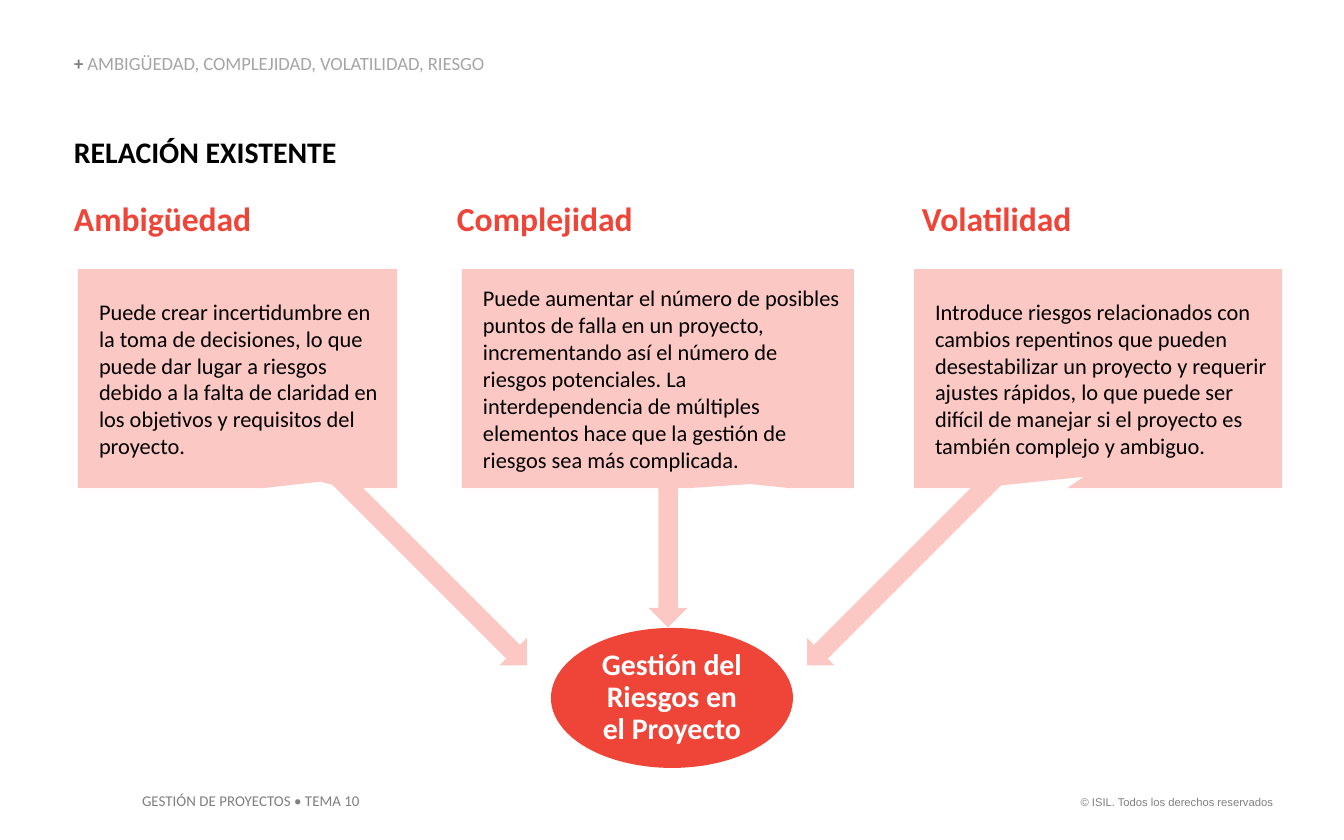
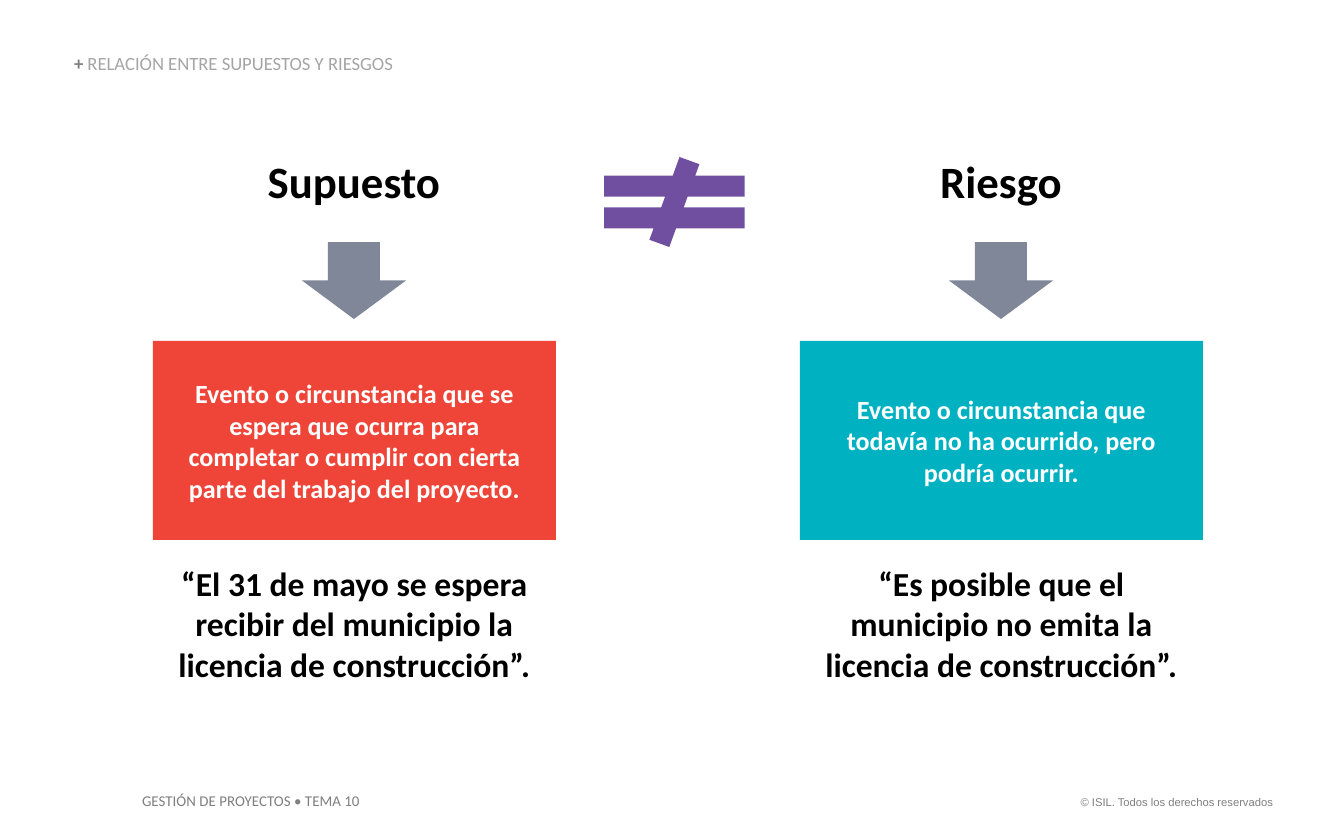
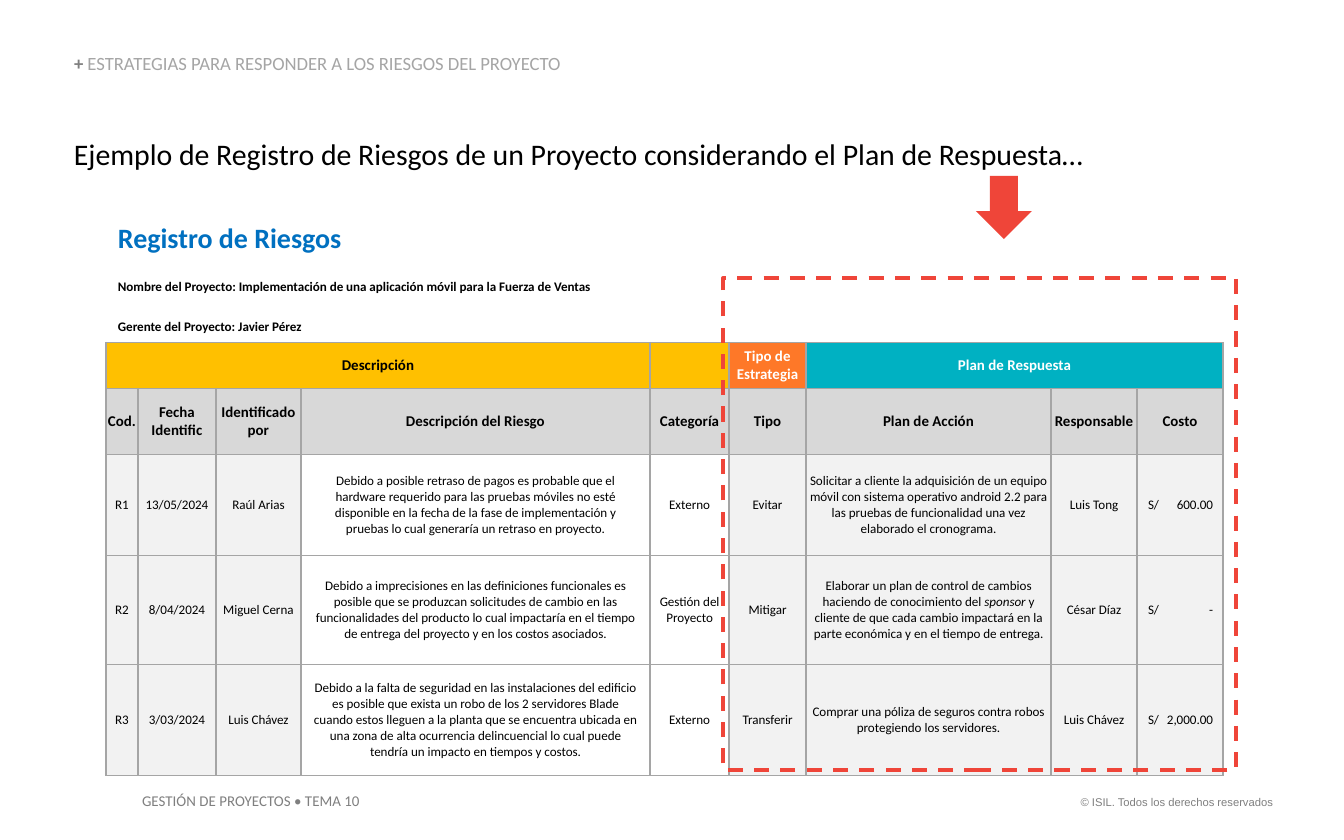
import dataclasses

import lxml.etree
import pptx
import pptx.dml.color
import pptx.enum.dml
import pptx.enum.shapes
import pptx.enum.text
import pptx.oxml
import pptx.oxml.ns
import pptx.util

SHAPES = pptx.enum.shapes.MSO_SHAPE
ALIGN = pptx.enum.text.PP_ALIGN
ANCHOR = pptx.enum.text.MSO_ANCHOR


@dataclasses.dataclass(frozen=True)
class Theme:
    font: str = "Calibri"
    copyright_font: str = "Arial"
    black: str = "000000"
    white: str = "FFFFFF"
    red: str = "EF4539"
    pink: str = "FCC8C4"
    cyan: str = "00B1C2"
    purple: str = "714FA0"
    slate: str = "808799"
    blue: str = "0070C0"
    gold: str = "FFC000"
    orange: str = "FE7828"
    dark_gray: str = "7F7F7F"
    mid_gray: str = "A5A5A5"
    header_gray: str = "D8D8D8"
    cell_gray: str = "F2F2F2"
    copyright_size: int = 6
    small: int = 7
    label: int = 8
    section: int = 10
    body: int = 12
    definition: int = 14
    register_title: int = 15
    heading: int = 16
    subheading: int = 18
    concept: int = 24


THEME = Theme()
SLIDE_SIZE = (1344, 840)
NO_INSET = (0, 0, 0, 0)
BOX_INSET = (13, 7, 13, 7)
CELL_INSET = (12, 7, 12, 7)

FOOTER = "GESTIÓN DE PROYECTOS • TEMA 10"
COPYRIGHT = "© ISIL. Todos los derechos reservados"

RELATION_SECTION = "AMBIGÜEDAD, COMPLEJIDAD, VOLATILIDAD, RIESGO"
RELATION_HEADING = "RELACIÓN EXISTENTE"
RELATION_CENTER = "Gestión del Riesgos en el Proyecto"
FACTORS = [
    {"name": "Ambigüedad", "name_left": 74, "left": 78, "width": 319,
     "tip": (0.26, 0.471), "arrow": (288, 547, 280, 39), "turn": 45,
     "text": "Puede crear incertidumbre en la toma de decisiones, lo que puede dar lugar a "
             "riesgos debido a la falta de claridad en los objetivos y requisitos del proyecto."},
    {"name": "Complejidad", "name_left": 457, "left": 462, "width": 392,
     "tip": (0.236, 0.482), "arrow": (598, 538, 140, 39), "turn": 90,
     "text": "Puede aumentar el número de posibles puntos de falla en un proyecto, incrementando "
             "así el número de riesgos potenciales. La interdependencia de múltiples elementos "
             "hace que la gestión de riesgos sea más complicada."},
    {"name": "Volatilidad", "name_left": 922, "left": 914, "width": 368,
     "tip": (-0.039, 0.449), "arrow": (766, 547, 280, 39), "turn": 135,
     "text": "Introduce riesgos relacionados con cambios repentinos que pueden desestabilizar un "
             "proyecto y requerir ajustes rápidos, lo que puede ser difícil de manejar si el "
             "proyecto es también complejo y ambiguo."},
]

CONTRAST_SECTION = "RELACIÓN ENTRE SUPUESTOS Y RIESGOS"
CONCEPTS = [
    ("Supuesto", THEME.red,
     "Evento o circunstancia que se espera que ocurra para completar o cumplir con cierta parte "
     "del trabajo del proyecto.",
     "“El 31 de mayo se espera recibir del municipio la licencia de construcción”."),
    ("Riesgo", THEME.cyan,
     "Evento o circunstancia que todavía no ha ocurrido, pero podría ocurrir.",
     "“Es posible que el municipio no emita la licencia de construcción”."),
]

REGISTER_SECTION = "ESTRATEGIAS PARA RESPONDER A LOS RIESGOS DEL PROYECTO"
REGISTER_HEADING = ("Ejemplo de Registro de Riesgos de un Proyecto considerando el "
                    "Plan de Respuesta…")
COLUMN_WIDTHS = (32, 78, 85, 320, 22, 79, 77, 245, 86, 86)
ROW_HEIGHTS = (46, 40, 40, 46, 66, 101, 109, 111)
FIELD_COLUMNS = (0, 1, 2, 3, 5, 6, 7, 8, 9)
DESCRIPTION_COLUMN = 3
COST_COLUMN = 9
REGISTER_INTRO = [
    ("Registro de Riesgos", 4, THEME.register_title, THEME.blue, ANCHOR.MIDDLE),
    ("Nombre del Proyecto: Implementación de una aplicación móvil para la Fuerza de Ventas",
     6, THEME.small, THEME.black, ANCHOR.BOTTOM),
    ("Gerente del Proyecto: Javier Pérez", 5, THEME.small, THEME.black, ANCHOR.BOTTOM),
]
REGISTER_BANDS = [
    (0, 5, "Descripción", THEME.gold, THEME.black),
    (5, 1, "", THEME.gold, THEME.black),
    (6, 1, "Tipo de Estrategia", THEME.orange, THEME.white),
    (7, 3, "Plan de Respuesta", THEME.cyan, THEME.white),
]
REGISTER_FIELDS = ("Cod.", "Fecha Identific", "Identificado por", "Descripción del Riesgo",
                   "Categoría", "Tipo", "Plan de Acción", "Responsable", "Costo")
RISKS = [
    ("R1", "13/05/2024", "Raúl Arias",
     "Debido a posible retraso de pagos es probable que el hardware requerido para las pruebas "
     "móviles no esté disponible en la fecha de la fase de implementación y pruebas lo cual "
     "generaría un retraso en proyecto.",
     "Externo", "Evitar",
     "Solicitar a cliente la adquisición de un equipo móvil con sistema operativo android 2.2 "
     "para las pruebas de funcionalidad una vez elaborado el cronograma.",
     "Luis Tong", "S/\t600.00"),
    ("R2", "8/04/2024", "Miguel Cerna",
     "Debido a imprecisiones en las definiciones funcionales es posible que se produzcan "
     "solicitudes de cambio en las funcionalidades del producto lo cual impactaría en el tiempo "
     "de entrega del proyecto y en los costos asociados.",
     "Gestión del Proyecto", "Mitigar",
     ("Elaborar un plan de control de cambios haciendo de conocimiento del ", "sponsor",
      " y cliente de que cada cambio impactará en la parte económica y en el tiempo de entrega."),
     "César Díaz", "S/\t-"),
    ("R3", "3/03/2024", "Luis Chávez",
     "Debido a la falta de seguridad en las instalaciones del edificio es posible que exista un "
     "robo de los 2 servidores Blade cuando estos lleguen a la planta que se encuentra ubicada "
     "en una zona de alta ocurrencia delincuencial lo cual puede tendría un impacto en tiempos "
     "y costos.",
     "Externo", "Transferir",
     "Comprar una póliza de seguros contra robos protegiendo los servidores.",
     "Luis Chávez", "S/\t2,000.00"),
]


def px(length):
    return round(length * 914400 / 134.4)


def rgb(color):
    return pptx.dml.color.RGBColor.from_string(color)


def set_inset(holder, inset, anchor):
    holder.margin_left, holder.margin_top, holder.margin_right, holder.margin_bottom = map(px, inset)
    holder.vertical_anchor = anchor


def write(text_frame, text, size, color, bold=False, align=ALIGN.LEFT, font=THEME.font,
          spacing=None):
    paragraph = text_frame.paragraphs[0]
    paragraph.alignment = align
    if spacing:
        paragraph.line_spacing = spacing
    pieces = (text,) if isinstance(text, str) else text
    for position, piece in enumerate(pieces):
        run = paragraph.add_run()
        run.text = piece
        if position % 2:
            run.font.italic = True
    paragraph.font.name = font
    paragraph.font.size = pptx.util.Pt(size)
    paragraph.font.bold = bold
    paragraph.font.color.rgb = rgb(color)


def add_text(slide, box, text, size, color, inset=NO_INSET, **style):
    text_frame = slide.shapes.add_textbox(*map(px, box)).text_frame
    text_frame.word_wrap = True
    set_inset(text_frame, inset, ANCHOR.TOP)
    write(text_frame, text, size, color, **style)


def add_filled(slide, kind, box, color, adjustments=(), turn=0):
    shape = slide.shapes.add_shape(kind, *map(px, box))
    shape.shadow.inherit = False
    shape.fill.solid()
    shape.fill.fore_color.rgb = rgb(color)
    shape.line.fill.background()
    shape.rotation = turn
    for index, value in enumerate(adjustments):
        shape.adjustments[index] = value
    return shape


def add_filled_text(shape, text, size, color, inset=BOX_INSET, **style):
    shape.text_frame.word_wrap = True
    set_inset(shape.text_frame, inset, ANCHOR.MIDDLE)
    write(shape.text_frame, text, size, color, **style)


def add_slide(presentation, section, title_width=538):
    slide = presentation.slides.add_slide(presentation.slide_layouts[5])
    title = slide.shapes.title
    title.left, title.top, title.width, title.height = map(px, (74, 55, title_width, 20))
    text_frame = title.text_frame
    text_frame.word_wrap = True
    text_frame.auto_size = pptx.enum.text.MSO_AUTO_SIZE.NONE
    set_inset(text_frame, NO_INSET, ANCHOR.BOTTOM)
    paragraph = text_frame.paragraphs[0]
    paragraph.alignment = ALIGN.LEFT
    paragraph.line_spacing = 0.9
    paragraph.font.name = THEME.font
    paragraph.font.size = pptx.util.Pt(THEME.section)
    for text, color, bold in (("+ ", THEME.dark_gray, True), (section, THEME.mid_gray, False)):
        run = paragraph.add_run()
        run.text = text
        run.font.bold = bold
        run.font.color.rgb = rgb(color)
    add_text(slide, (1063, 789, 223, 27), COPYRIGHT, THEME.copyright_size, THEME.dark_gray,
             BOX_INSET, align=ALIGN.RIGHT, font=THEME.copyright_font)
    add_text(slide, (129, 785, 252, 32), FOOTER, THEME.label, THEME.dark_gray, BOX_INSET)
    return slide


def build_relation(presentation):
    slide = add_slide(presentation, RELATION_SECTION)
    add_text(slide, (74, 134, 614, 36), RELATION_HEADING, THEME.heading, THEME.black, bold=True)
    center = add_filled(slide, SHAPES.OVAL, (551, 628, 242, 140), THEME.red)
    add_filled_text(center, RELATION_CENTER, THEME.heading, THEME.white, bold=True,
                    align=ALIGN.CENTER, spacing=0.9)
    for factor in FACTORS:
        add_text(slide, (factor["name_left"], 198, 292, 40), factor["name"], THEME.subheading,
                 THEME.red, bold=True)
        callout = add_filled(slide, SHAPES.RECTANGULAR_CALLOUT,
                             (factor["left"], 269, factor["width"], 219), THEME.pink,
                             factor["tip"])
        add_filled_text(callout, factor["text"], THEME.body, THEME.black, (21, 7, 11, 7))
        add_filled(slide, SHAPES.RIGHT_ARROW, factor["arrow"], THEME.pink, turn=factor["turn"])


def build_contrast(presentation):
    slide = add_slide(presentation, CONTRAST_SECTION)
    for index, (name, color, definition, example) in enumerate(CONCEPTS):
        middle = 354 + 647 * index

        def centered(top, width, height):
            return middle - width // 2, top, width, height

        add_text(slide, centered(147, 476, 67), name, THEME.concept, THEME.black, BOX_INSET,
                 bold=True, align=ALIGN.CENTER)
        add_filled(slide, SHAPES.DOWN_ARROW, centered(242, 104, 77), THEME.slate)
        box = add_filled(slide, SHAPES.RECTANGLE, centered(341, 403, 199), color)
        add_filled_text(box, definition, THEME.definition, THEME.white, (21, 7, 21, 7),
                        bold=True, align=ALIGN.CENTER)
        add_text(slide, centered(556, 403, 136), example, THEME.subheading, THEME.black,
                 BOX_INSET, bold=True, align=ALIGN.CENTER)
    add_filled(slide, SHAPES.MATH_NOT_EQUAL, (579, 157, 191, 90), THEME.purple,
               (0.235, 66, 0.118))


def add_borders(cell):
    properties = cell._tc.get_or_add_tcPr()
    for index, side in enumerate(("lnL", "lnR", "lnT", "lnB")):
        line = pptx.oxml.parse_xml(
            f'<a:{side} {pptx.oxml.ns.nsdecls("a")} w="{pptx.util.Pt(0.75)}"><a:solidFill>'
            f'<a:srgbClr val="{THEME.mid_gray}"/></a:solidFill></a:{side}>')
        properties.insert(index, line)


def add_right_tab(paragraph, position):
    properties = paragraph._p.get_or_add_pPr()
    tabs = lxml.etree.SubElement(properties, pptx.oxml.ns.qn("a:tabLst"))
    lxml.etree.SubElement(tabs, pptx.oxml.ns.qn("a:tab"), pos=str(px(position)), algn="r")


def fill_cell(table, row, column, span, text, size, color, fill=None, inset=NO_INSET,
              anchor=ANCHOR.MIDDLE, bold=True, align=ALIGN.CENTER):
    cell = table.cell(row, column)
    if span > 1:
        cell.merge(table.cell(row, column + span - 1))
    if fill:
        cell.fill.solid()
        cell.fill.fore_color.rgb = rgb(fill)
    if text:
        set_inset(cell, inset, anchor)
        write(cell.text_frame, text, size, color, bold, align)


def add_register(slide):
    frame = slide.shapes.add_table(len(ROW_HEIGHTS), len(COLUMN_WIDTHS), px(106), px(215),
                                   px(sum(COLUMN_WIDTHS)), px(sum(ROW_HEIGHTS)))
    table = frame.table
    table.first_row = table.horz_banding = False
    style = table._tbl.tblPr.find(pptx.oxml.ns.qn("a:tableStyleId"))
    style.text = "{2D5ABB26-0587-4C30-8999-92F81FD0307C}"
    for column, width in zip(table.columns, COLUMN_WIDTHS):
        column.width = px(width)
    for index, (row, height) in enumerate(zip(table.rows, ROW_HEIGHTS)):
        row.height = px(height)
        for cell in row.cells:
            cell.fill.background()
            cell.margin_top = cell.margin_bottom = 0
            cell.text_frame.paragraphs[0].font.size = pptx.util.Pt(THEME.small)
            if index >= len(REGISTER_INTRO):
                add_borders(cell)

    for row, (text, span, size, color, anchor) in enumerate(REGISTER_INTRO):
        fill_cell(table, row, 0, span, text, size, color, inset=CELL_INSET, anchor=anchor,
                  align=ALIGN.LEFT)
    table.cell(0, 4).merge(table.cell(0, 5))

    band_row = len(REGISTER_INTRO)
    for column, span, text, fill, color in REGISTER_BANDS:
        fill_cell(table, band_row, column, span, text, THEME.label, color, fill,
                  CELL_INSET if span > 1 else NO_INSET)

    for row, fields in enumerate([REGISTER_FIELDS] + RISKS, band_row + 1):
        is_header = fields is REGISTER_FIELDS
        for column, text in zip(FIELD_COLUMNS, fields):
            is_description = column == DESCRIPTION_COLUMN
            is_cost = column == COST_COLUMN and not is_header
            fill = THEME.header_gray if is_header else THEME.cell_gray
            if not is_header and column in (3, 5):
                fill = None
            inset = CELL_INSET if is_description else NO_INSET
            if is_cost:
                inset = (11, 0, 0, 0)
                add_right_tab(table.cell(row, column).text_frame.paragraphs[0], 65)
            fill_cell(table, row, column, 2 if is_description else 1, text,
                      THEME.label if is_header else THEME.small, THEME.black, fill, inset,
                      bold=is_header, align=ALIGN.LEFT if is_cost else ALIGN.CENTER)


def build_register(presentation):
    slide = add_slide(presentation, REGISTER_SECTION, 698)
    add_register(slide)
    add_text(slide, (74, 136, 1199, 36), REGISTER_HEADING, THEME.heading, THEME.black)
    highlight = add_filled(slide, SHAPES.RECTANGLE, (723, 278, 513, 492), THEME.red)
    highlight.fill.background()
    highlight.line.color.rgb = rgb(THEME.red)
    highlight.line.width = pptx.util.Pt(2)
    highlight.line.dash_style = pptx.enum.dml.MSO_LINE.DASH
    add_filled(slide, SHAPES.DOWN_ARROW, (976, 176, 56, 63), THEME.red)


def main():
    presentation = pptx.Presentation()
    presentation.slide_width, presentation.slide_height = map(px, SLIDE_SIZE)
    build_relation(presentation)
    build_contrast(presentation)
    build_register(presentation)
    presentation.save("out.pptx")


if __name__ == "__main__":
    main()
